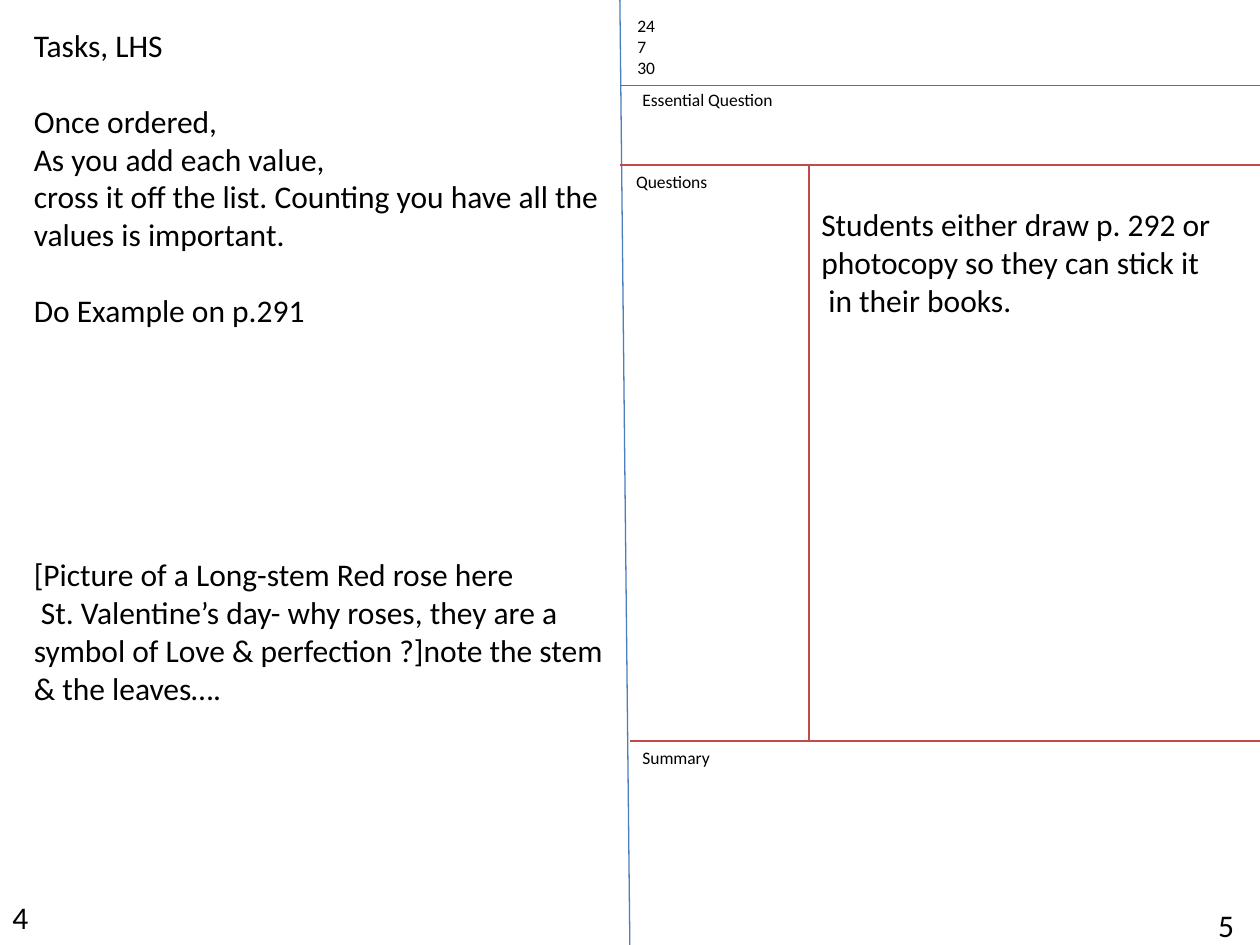
from dataclasses import dataclass

from lxml.etree import SubElement
from pptx import Presentation
from pptx.dml.color import RGBColor
from pptx.enum.shapes import MSO_CONNECTOR
from pptx.enum.text import MSO_AUTO_SIZE
from pptx.oxml.ns import qn
from pptx.slide import Slide
from pptx.util import Inches, Length, Pt


@dataclass(frozen=True)
class Theme:
    font: str = "Calibri"
    body: float = 18
    label: float = 10
    body_line: float = 21.6
    line_width: float = 0.75
    ink: RGBColor = RGBColor(0x00, 0x00, 0x00)
    spine: RGBColor = RGBColor(0x4B, 0x7E, 0xBC)
    rule: RGBColor = RGBColor(0xBF, 0x4C, 0x48)


@dataclass(frozen=True)
class Rule:
    start: tuple[float, float]
    end: tuple[float, float]
    color: RGBColor


@dataclass(frozen=True)
class Line:
    text: str
    lines_before: int = 0


@dataclass(frozen=True)
class Note:
    """Text at a column and row, with its width and height in cells."""
    column: float
    row: float
    width: float
    height: float
    size: float
    lines: tuple[Line, ...]
    wrap: bool = False


THEME = Theme()
COLUMNS, ROWS = 100, 75
PAGE_WIDTH, PAGE_HEIGHT = Inches(10), Inches(7.5)

SPINE_TOP, SPINE_FOOT = 49.2, 50
HEADER_ROW, QUESTION_ROW, SUMMARY_ROW = 6.8, 13.1, 58.8
NOTES_COLUMN = 64.2

RULES = (
    Rule((SPINE_TOP, 0), (SPINE_FOOT, 76.1), THEME.spine),
    Rule((SPINE_TOP, HEADER_ROW), (COLUMNS, HEADER_ROW), THEME.rule),
    Rule((SPINE_TOP, QUESTION_ROW), (COLUMNS, QUESTION_ROW), THEME.rule),
    Rule((SPINE_FOOT, SUMMARY_ROW), (101.7, SUMMARY_ROW), THEME.rule),
    Rule((NOTES_COLUMN, QUESTION_ROW), (NOTES_COLUMN, SUMMARY_ROW), THEME.rule),
)

TASKS = (
    Line("Tasks, LHS"),
    Line("Once ordered,", 1),
    Line("As you add each value,"),
    Line("cross it off the list. Counting you have all the"),
    Line("values is important."),
    Line("Do Example on p.291", 1),
    Line("[Picture of a Long-stem Red rose here", 6),
    Line(" St. Valentine’s day- why roses, they are a"),
    Line("symbol of Love & perfection ?]note the stem"),
    Line("& the leaves…."),
)
BOOK_WORK = (
    Line("Students either draw p. 292 or"),
    Line("photocopy so they can stick it"),
    Line(" in their books."),
)

NOTES = (
    Note(0, 70.8, 3.3, 4, THEME.body, (Line("4"),)),
    Note(95.7, 71.4, 6, 4, THEME.body, (Line("5"),), wrap=True),
    Note(49.6, 0.7, 4.7, 6.1, THEME.label, (Line("24"), Line("7"), Line("30")), wrap=True),
    Note(50, 6.6, 12.5, 2.7, THEME.label, (Line("Essential Question"),)),
    Note(49.5, QUESTION_ROW, 7.8, 2.7, THEME.label, (Line("Questions"),)),
    Note(50, SUMMARY_ROW, 7.4, 2.7, THEME.label, (Line("Summary"),)),
    Note(1.7, 1.6, 48.3, 58.6, THEME.body, TASKS),
    Note(NOTES_COLUMN, 15.8, 37.3, 10.1, THEME.body, BOOK_WORK, wrap=True),
)


def across(columns: float) -> Length:
    return Length(round(PAGE_WIDTH * columns / COLUMNS))


def down(rows: float) -> Length:
    return Length(round(PAGE_HEIGHT * rows / ROWS))


def draw_rule(page: Slide, rule: Rule) -> None:
    connector = page.shapes.add_connector(
        MSO_CONNECTOR.STRAIGHT,
        across(rule.start[0]), down(rule.start[1]),
        across(rule.end[0]), down(rule.end[1]),
    )
    connector.line.color.rgb = rule.color
    connector.line.width = Pt(THEME.line_width)
    SubElement(connector._element.spPr, qn("a:effectLst"))


def draw_note(page: Slide, note: Note) -> None:
    box = page.shapes.add_textbox(
        across(note.column), down(note.row), across(note.width), down(note.height)
    )
    frame = box.text_frame
    frame.word_wrap = note.wrap
    frame.auto_size = MSO_AUTO_SIZE.SHAPE_TO_FIT_TEXT
    font_format = {"name": THEME.font, "size": Pt(note.size)}
    for index, line in enumerate(note.lines):
        para = frame.add_paragraph() if index else frame.paragraphs[0]
        if line.lines_before:
            para.space_before = Pt(line.lines_before * THEME.body_line)
        span = para.add_run()
        span.text = line.text
        for name, value in font_format.items():
            setattr(span.font, name, value)
        span.font.color.rgb = THEME.ink


def main() -> None:
    deck = Presentation()
    deck.slide_width, deck.slide_height = PAGE_WIDTH, PAGE_HEIGHT
    page = deck.slides.add_slide(deck.slide_layouts[6])
    for rule in RULES:
        draw_rule(page, rule)
    for note in NOTES:
        draw_note(page, note)
    deck.save("out.pptx")


if __name__ == "__main__":
    main()
